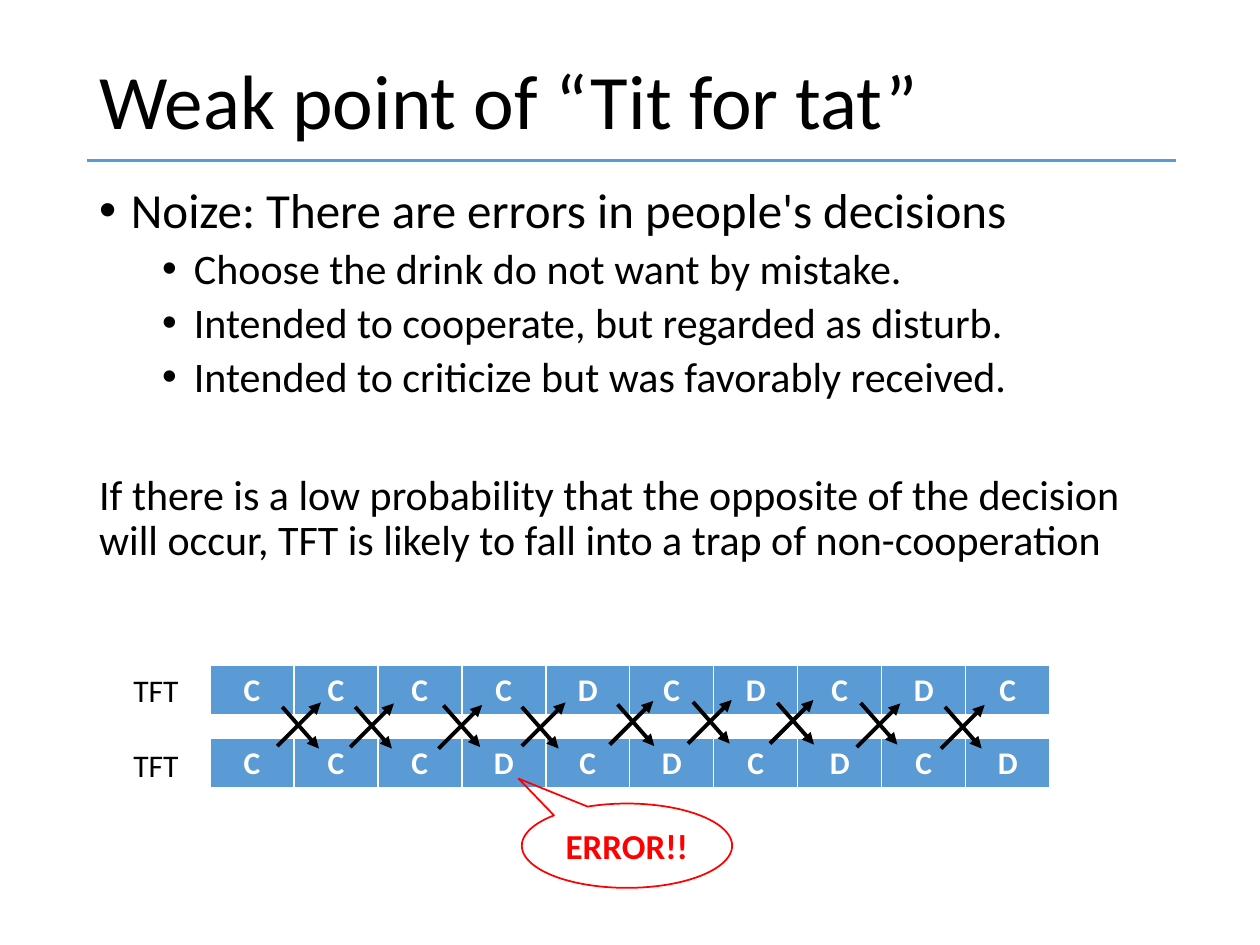
import pptx
import pptx.util
import pptx.dml.color
import pptx.enum.shapes
import pptx.enum.text
import pptx.oxml
import pptx.oxml.ns
from lxml import etree

Cm, Pt = pptx.util.Cm, pptx.util.Pt
RGBColor = pptx.dml.color.RGBColor
ALIGN = pptx.enum.text.PP_ALIGN
ANCHOR = pptx.enum.text.MSO_ANCHOR
qn = pptx.oxml.ns.qn

BLACK = RGBColor(0x00, 0x00, 0x00)
WHITE = RGBColor(0xFF, 0xFF, 0xFF)
BLUE = RGBColor(0x5B, 0x9B, 0xD5)
RED = RGBColor(0xFF, 0x00, 0x00)

# Content
TITLE = "Weak point of “Tit for tat”"
# text, size, indent in cm (None: no bullet), space before
BODY = [
    ("Noize: There are errors in people's decisions", 28, 0.64, 10),
    ("Choose the drink do not want by mistake.", 24, 1.91, 5),
    ("Intended to cooperate, but regarded as disturb.", 24, 1.91, 5),
    ("Intended to criticize but was favorably received.", 24, 1.91, 5),
    ("If there is a low probability that the opposite of the decision "
     "will occur, TFT is likely to fall into a trap of non-cooperation",
     24, None, 41.4),
]
# player, moves, table top, label top (cm)
PLAYERS = [("TFT", "CCCCDCDCDC", 13.41, 13.41),
           ("TFT", "CCCDCDCDCD", 14.88, 14.91)]
# Arrow starts (cm); all arrows of one direction have the same run and rise
DOWN_STARTS = [(5.69, 14.25), (7.16, 14.25), (8.94, 14.22), (10.52, 14.25),
               (12.45, 14.2), (13.97, 14.15), (15.67, 14.17), (17.35, 14.17),
               (19.05, 14.25)]
UP_STARTS = [(5.59, 15.04), (7.06, 15.06), (8.84, 15.09), (10.52, 15.04),
             (12.29, 15.01), (13.87, 14.99), (15.52, 14.99), (17.27, 15.06),
             (18.97, 15.09)]
ARROWS = [(DOWN_STARTS, 0.74, 0.84), (UP_STARTS, 0.88, -0.88)]

LEFT, WIDTH = 1.75, 21.9
TABLE_LEFT, CELL_WIDTH, ROW_HEIGHT = 4.23, 1.693, 1.03


def write(para, text, size=18, color=BLACK, bold=False, align=None,
          spacing=None, before=None, indent=None):
    span = para.add_run()
    span.text = text
    span.font.name = "Calibri"
    span.font.size = Pt(size)
    span.font.bold = bold
    span.font.color.rgb = color
    if align is not None:
        para.alignment = align
    if spacing is not None:
        para.line_spacing = spacing
    if before is not None:
        para.space_before = Pt(before)
    if indent is not None:
        props = para._p.get_or_add_pPr()
        props.set("marL", str(Cm(indent)))
        props.set("indent", str(-Cm(0.64)))
        etree.SubElement(props, qn("a:buFont")).set("typeface", "Arial")
        etree.SubElement(props, qn("a:buChar")).set("char", "•")


def add_box(left, top, width, height, wrap=True, anchor=ANCHOR.TOP):
    box = page.shapes.add_textbox(Cm(left), Cm(top), Cm(width), Cm(height))
    box.text_frame.word_wrap = wrap
    box.text_frame.vertical_anchor = anchor
    return box.text_frame


def add_line(x1, y1, x2, y2, color, width, arrow=False):
    line = page.shapes.add_connector(
        pptx.enum.shapes.MSO_CONNECTOR.STRAIGHT, Cm(x1), Cm(y1), Cm(x2), Cm(y2))
    line.line.color.rgb = color
    line.line.width = Pt(width)
    if arrow:
        etree.SubElement(line.line._get_or_add_ln(),
                         qn("a:tailEnd")).set("type", "triangle")
    etree.SubElement(line._element.spPr, qn("a:effectLst"))


def add_borders(cell):
    props = cell._tc.get_or_add_tcPr()
    for index, (side, width) in enumerate(
            [("lnL", 1), ("lnR", 1), ("lnT", 1), ("lnB", 3)]):
        border = etree.Element(qn("a:" + side), w=str(Pt(width)))
        fill = etree.SubElement(border, qn("a:solidFill"))
        etree.SubElement(fill, qn("a:srgbClr")).set("val", str(WHITE))
        props.insert(index, border)


deck = pptx.Presentation()
deck.slide_width, deck.slide_height = Cm(25.4), Cm(19.05)
page = deck.slides.add_slide(deck.slide_layouts[6])

# Title and rule
add_line(LEFT + WIDTH + 0.05, 3.23, LEFT, 3.23, BLUE, 1.5)
title = add_box(LEFT, 1.02, WIDTH, 2.18, anchor=ANCHOR.MIDDLE)
write(title.paragraphs[0], TITLE, size=44, spacing=0.9)

# Body
body = add_box(LEFT, 3.63, WIDTH, 14.6)
for index, (text, size, indent, before) in enumerate(BODY):
    para = body.add_paragraph() if index else body.paragraphs[0]
    write(para, text, size=size, spacing=0.9, before=before, indent=indent)

# Move tables and player labels
for player, moves, table_top, label_top in PLAYERS:
    table = page.shapes.add_table(
        1, len(moves), Cm(TABLE_LEFT), Cm(table_top),
        Cm(CELL_WIDTH * len(moves)), Cm(ROW_HEIGHT)).table
    for column, move in enumerate(moves):
        table.columns[column].width = Cm(CELL_WIDTH)
        cell = table.cell(0, column)
        cell.fill.solid()
        cell.fill.fore_color.rgb = BLUE
        add_borders(cell)
        write(cell.text_frame.paragraphs[0], move, color=WHITE, bold=True,
              align=ALIGN.CENTER)
    label = add_box(2.44, label_top, 1.42, 1.02, wrap=False)
    write(label.paragraphs[0], player)

# Error callout
callout = page.shapes.add_shape(
    pptx.enum.shapes.MSO_SHAPE.OVAL_CALLOUT,
    Cm(10.52), Cm(16.2), Cm(4.24), Cm(1.7))
callout.adjustments[0], callout.adjustments[1] = -0.516, -0.796
callout.shadow.inherit = False
callout.fill.background()
callout.line.color.rgb = RED
callout.line.width = Pt(1)
callout.text_frame.vertical_anchor = ANCHOR.MIDDLE
write(callout.text_frame.paragraphs[0], "ERROR!!", size=20, color=RED,
      bold=True, align=ALIGN.CENTER)

# Crossing arrows between the tables
for starts, run, rise in ARROWS:
    for x, y in starts:
        add_line(x, y, x + run, y + rise, BLACK, 2.25, arrow=True)

deck.save("out.pptx")
